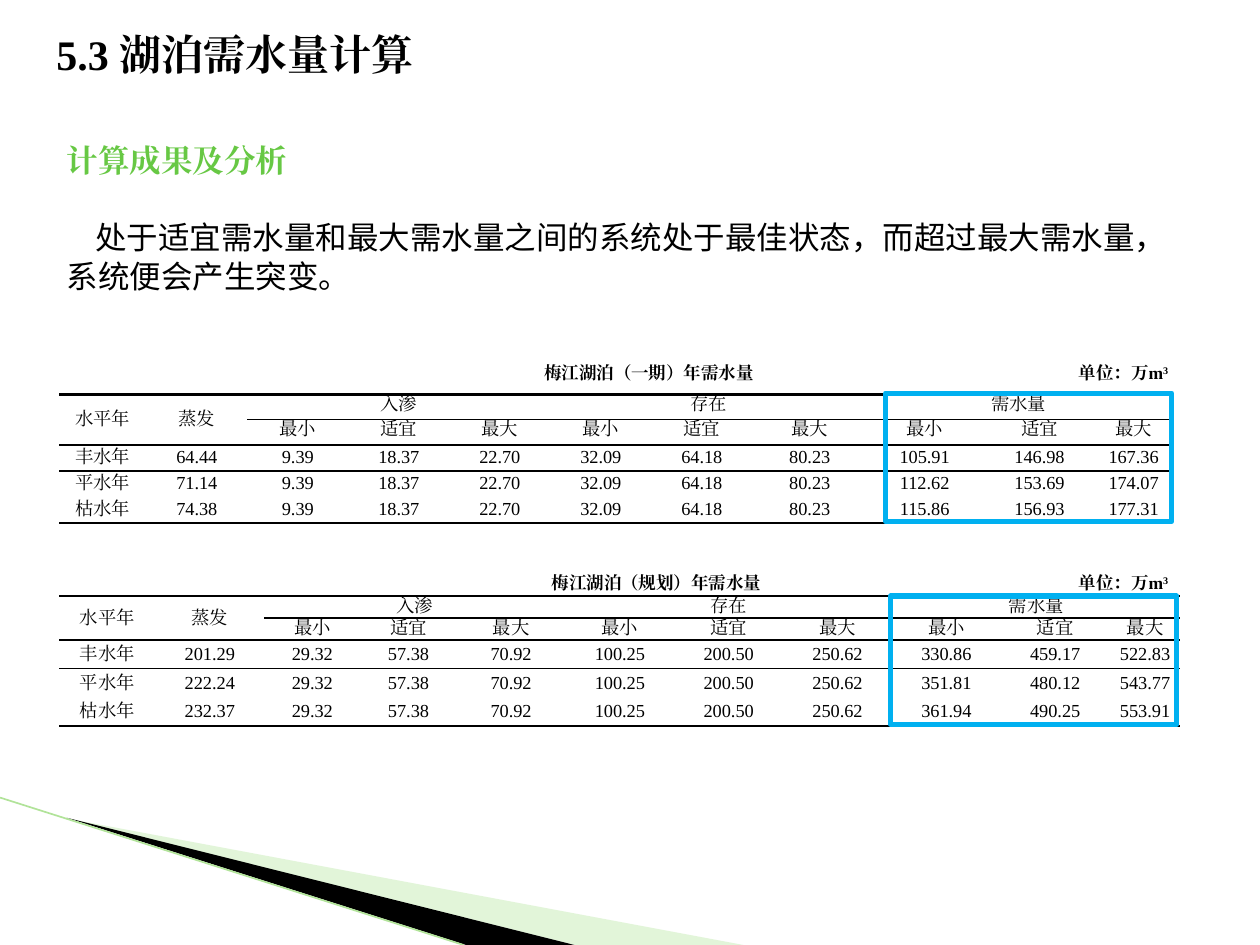
"""Build the lake water demand slide with two ruled tables."""
from lxml.etree import SubElement
from pptx import Presentation
from pptx.dml.color import RGBColor
from pptx.enum.shapes import MSO_CONNECTOR as Connector, MSO_SHAPE as Shape
from pptx.enum.text import MSO_ANCHOR as Anchor, PP_ALIGN as Align
from pptx.oxml.ns import qn
from pptx.util import Inches, Pt

THEME = {
    "black": "000000", "green": "67C844", "pale": "B8E7A1", "edge": "B1E399", "blue": "00B0F0",
    "serif": "Times New Roman", "sans": "Noto Sans CJK SC",
    "title": 24, "body": 18, "cell": 10.5, "caption": 10, "leading": 22,
    "thick": 1.5, "thin": 1, "frame": 3, "hairline": 0.95,
}
TITLE = "5.3 湖泊需水量计算"
HEADING = "计算成果及分析"
BODY = "处于适宜需水量和最大需水量之间的系统处于最佳状态，而超过最大需水量，系统便会产生突变。"
UNIT = ("单位：万m", "3")
LEADS = ["水平年", "蒸发"]
GROUPS = ["入渗", "存在", "需水量"]
LEVELS = ["最小", "适宜", "最大"]
TABLES = [
    {
        "caption": "梅江湖泊（一期）年需水量", "caption_left": 3.65, "caption_top": 2.82,
        "top": 3.13, "width": 8.82, "header": 0.2, "frame": (7.03, 3.12),
        "columns": [0.69] + [0.8] * 6 + [0.91] * 3 + [0.58],
        "shared": ["9.39", "18.37", "22.70", "32.09", "64.18", "80.23"],
        "years": [("丰水年", "64.44", ["105.91", "146.98", "167.36"]),
                  ("平水年", "71.14", ["112.62", "153.69", "174.07"]),
                  ("枯水年", "74.38", ["115.86", "156.93", "177.31"])],
    },
    {
        "caption": "梅江湖泊（规划）年需水量", "caption_left": 3.71, "caption_top": 4.49,
        "top": 4.73, "width": 8.9, "header": 0.17, "frame": (7.07, 4.73),
        "columns": [0.76, 0.86, 0.76, 0.76] + [0.86] * 6 + [0.56],
        "shared": ["29.32", "57.38", "70.92", "100.25", "200.50", "250.62"],
        "years": [("丰水年", "201.29", ["330.86", "459.17", "522.83"]),
                  ("平水年", "222.24", ["351.81", "480.12", "543.77"]),
                  ("枯水年", "232.37", ["361.94", "490.25", "553.91"])],
    },
]
TABLE_LEFT, TABLE_HEIGHT = 0.47, 1.02
FRAME_SIZE = (2.27, 1.02)
WEDGES = [
    ("pale", 40, [(0.55, 6.5), (5.9, 7.5), (4.56, 7.5)]),
    ("black", 100, [(0.53, 6.49), (4.56, 7.5), (3.7, 7.5)]),
]
EDGE = [(0, 6.33), (3.68, 7.5)]


def color(name):
    return RGBColor.from_string(THEME[name])


def set_all(target, values):
    for name, value in values.items():
        setattr(target, name, value)


def write(para, text, size, tint="black", face="serif", bold=False):
    span = para.add_run()
    span.text = text
    set_all(span.font, {"size": Pt(THEME[size]), "bold": bold, "name": THEME[face]})
    span.font.color.rgb = color(tint)
    SubElement(span.font._element, qn("a:ea"), typeface=THEME[face])
    return span


def add_text(page, left, top, width, height, anchor=Anchor.TOP):
    box = page.shapes.add_textbox(*map(Inches, (left, top, width, height)))
    set_all(box.text_frame, {"word_wrap": True, "vertical_anchor": anchor})
    return box.text_frame


def add_wedges(page):
    for tint, opacity, points in WEDGES:
        start, *rest = [tuple(map(Inches, point)) for point in points]
        builder = page.shapes.build_freeform(*start)
        builder.add_line_segments(rest, close=True)
        wedge = builder.convert_to_shape()
        wedge.shadow.inherit = False
        wedge.fill.solid()
        wedge.fill.fore_color.rgb = color(tint)
        wedge.line.fill.background()
        if opacity < 100:
            paint = wedge._element.spPr.find(qn("a:solidFill"))[0]
            SubElement(paint, qn("a:alpha"), val=str(opacity * 1000))
    ends = [Inches(value) for point in EDGE for value in point]
    edge = page.shapes.add_connector(Connector.STRAIGHT, *ends)
    edge.line.color.rgb = color("edge")
    edge.line.width = Pt(THEME["hairline"])
    SubElement(edge._element.spPr, qn("a:effectLst"))


def rule_cell(cell, rules):
    cell.fill.background()
    props = cell._tc.get_or_add_tcPr()
    for index, (side, weight) in enumerate(rules.items()):
        line = SubElement(props, qn(f"a:{side}"), w=str(Pt(THEME[weight])))
        fill = SubElement(line, qn("a:solidFill"))
        SubElement(fill, qn("a:srgbClr"), val=THEME["black"])
        props.insert(index, line)


def rules_for(row, column):
    lead = column < len(LEADS)
    return [
        {"lnT": "thick"} if lead else {"lnT": "thick", "lnB": "thin"},
        {"lnB": "thin"} if lead else {"lnT": "thin", "lnB": "thin"},
        {"lnT": "thin"}, {}, {"lnB": "thick"},
    ][row]


def add_demand_table(page, data):
    rows = [LEADS + [text for group in GROUPS for text in (group, "", "")],
            ["", ""] + LEVELS * len(GROUPS)]
    rows += [[year, loss] + data["shared"] + demand for year, loss, demand in data["years"]]
    columns = data["columns"]
    place = map(Inches, (TABLE_LEFT, data["top"], data["width"], TABLE_HEIGHT))
    table = page.shapes.add_table(len(rows), len(columns), *place).table
    set_all(table, {"first_row": False, "horz_banding": False})
    table._tbl.tblPr.find(qn("a:tableStyleId")).text = "{2D5ABB26-0587-4C30-8999-92F81FD0307C}"
    for column, width in zip(table.columns, columns):
        column.width = Inches(width * data["width"] / sum(columns))
    body_height = (TABLE_HEIGHT - 2 * data["header"]) / len(data["years"])
    for index, row in enumerate(table.rows):
        row.height = Inches(data["header"] if index < 2 else body_height)
    for row, texts in enumerate(rows):
        for column, text in enumerate(texts):
            cell = table.cell(row, column)
            middle = row > 1 or column < len(LEADS)
            set_all(cell, {"margin_left": Inches(0.07), "margin_right": Inches(0.07),
                           "margin_top": 0, "margin_bottom": 0,
                           "vertical_anchor": Anchor.MIDDLE if middle else Anchor.TOP})
            para = cell.text_frame.paragraphs[0]
            para.alignment = Align.CENTER
            para.font.size = Pt(THEME["cell"])
            if text:
                write(para, text, "cell")
            rule_cell(cell, rules_for(row, column))
    for column in range(len(LEADS)):
        table.cell(0, column).merge(table.cell(1, column))
    for column in range(len(LEADS), len(columns), len(LEVELS)):
        table.cell(0, column).merge(table.cell(0, column + len(LEVELS) - 1))


def add_caption(page, data):
    top = data["caption_top"]
    name = add_text(page, data["caption_left"], top, 3, 0.27, Anchor.MIDDLE).paragraphs[0]
    name.alignment = Align.CENTER
    write(name, data["caption"], "caption", bold=True)
    unit = add_text(page, 7.87, top, 1.5, 0.27, Anchor.MIDDLE).paragraphs[0]
    unit.alignment = Align.RIGHT
    base, power = [write(unit, text, "caption", bold=True) for text in UNIT]
    power.font._element.set("baseline", "30000")


def add_frame(page, data):
    frame = page.shapes.add_shape(Shape.RECTANGLE, *map(Inches, data["frame"] + FRAME_SIZE))
    frame.shadow.inherit = False
    frame.fill.background()
    frame.line.color.rgb = color("blue")
    frame.line.width = Pt(THEME["frame"])


def main():
    deck = Presentation()
    set_all(deck, {"slide_width": Inches(10), "slide_height": Inches(7.5)})
    page = deck.slides.add_slide(deck.slide_layouts[6])
    add_wedges(page)
    title = add_text(page, 0.35, 0.21, 9, 0.44, Anchor.MIDDLE)
    write(title.paragraphs[0], TITLE, "title", bold=True)
    body = add_text(page, 0.43, 1.07, 9.16, 1.31)
    heading, para = body.paragraphs[0], body.add_paragraph()
    write(heading, HEADING, "body", tint="green", bold=True)
    write(para, BODY, "body", face="sans")
    set_all(para, {"line_spacing": Pt(THEME["leading"]), "space_before": Pt(THEME["leading"])})
    para._p.get_or_add_pPr().set("indent", str(Inches(0.23)))
    for step in (add_demand_table, add_caption, add_frame):
        for data in TABLES:
            step(page, data)
    deck.save("out.pptx")


if __name__ == "__main__":
    main()
